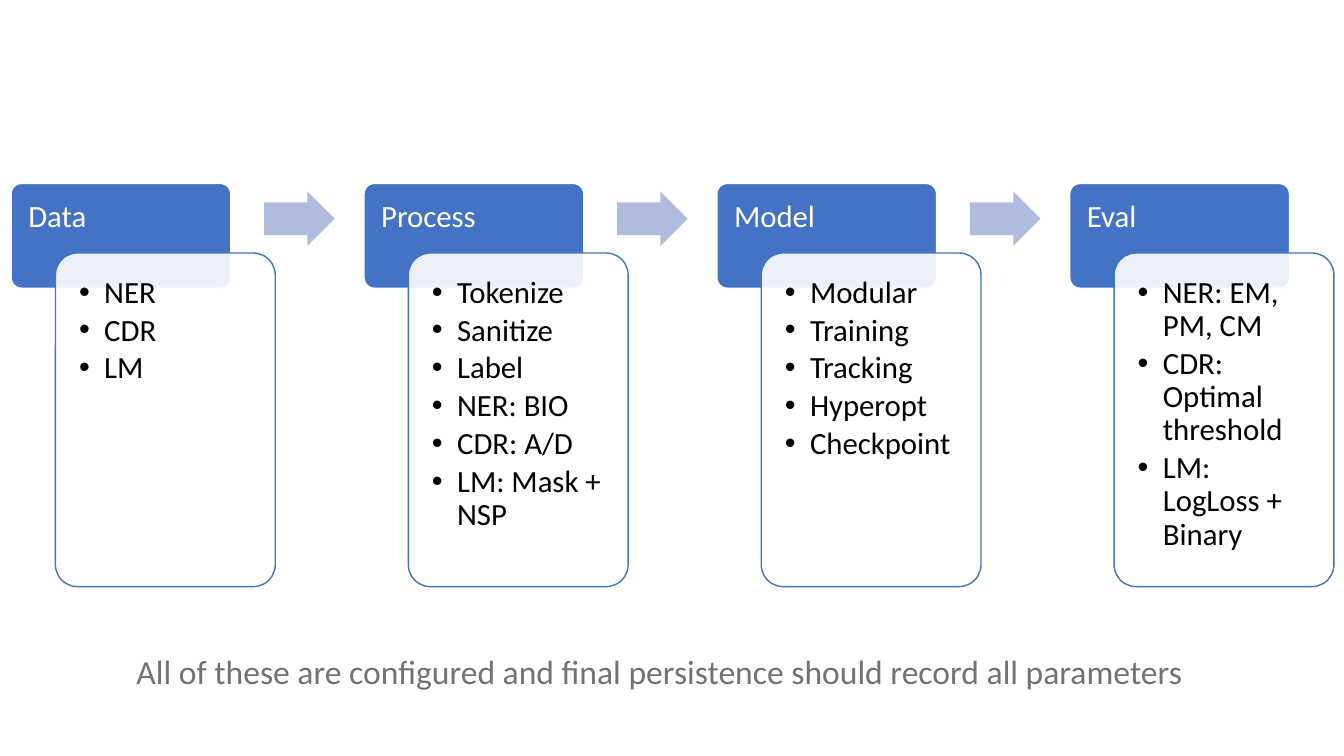
import pptx
import pptx.dml.color
import pptx.enum.shapes
import pptx.enum.text
import pptx.oxml.ns
import pptx.util
from lxml import etree

Inches = pptx.util.Inches
Pt = pptx.util.Pt
SHAPES = pptx.enum.shapes.MSO_SHAPE
qn = pptx.oxml.ns.qn

BLUE, PALE_BLUE, GREY = "4472C4", "B0BCDE", "767171"
WHITE, BLACK = "FFFFFF", "000000"
FONT = "Calibri"

STAGES = [
    ("Data", ["NER", "CDR", "LM"]),
    ("Process", ["Tokenize", "Sanitize", "Label", "NER: BIO", "CDR: A/D",
                 "LM: Mask + NSP"]),
    ("Model", ["Modular", "Training", "Tracking", "Hyperopt", "Checkpoint"]),
    ("Eval", ["NER: EM, PM, CM", "CDR: Optimal threshold",
              "LM: LogLoss + Binary"]),
]
CAPTION = ("All of these are configured and final persistence "
           "should record all parameters")

# Column layout in inches
FIRST_LEFT, STAGE_PITCH = 0.11, 3.5
HEADER_TOP, STAGE_WIDTH = 1.82, 2.18
PANEL_SHIFT, PANEL_TOP = 0.44, 2.51
ARROW_SHIFT, ARROW_TOP = 2.51, 1.9


def color(hex_string):
    return pptx.dml.color.RGBColor.from_string(hex_string)


def add_block(slide, preset, box, adjustments, fill, line=None):
    block = slide.shapes.add_shape(preset, *map(Inches, box))
    for index, value in enumerate(adjustments):
        block.adjustments[index] = value
    block.shadow.inherit = False
    block.fill.solid()
    block.fill.fore_color.rgb = color(fill)
    if line:
        block.line.color.rgb = color(line)
        block.line.width = Pt(1)
    else:
        block.line.fill.background()
    return block


def set_opacity(block, percent):
    srgb = block.fill._xPr.find(".//" + qn("a:srgbClr"))
    etree.SubElement(srgb, qn("a:alpha"), val=str(percent * 1000))


def write(block, text, size, ink, inset,
          align=pptx.enum.text.PP_ALIGN.LEFT, line_spacing=1.0):
    frame = block.text_frame
    frame.word_wrap = True
    frame.vertical_anchor = pptx.enum.text.MSO_ANCHOR.TOP
    frame.margin_left = frame.margin_right = Inches(inset)
    frame.margin_top = frame.margin_bottom = Inches(min(inset, 0.17))
    frame.text = text
    for paragraph in frame.paragraphs:
        paragraph.alignment = align
        paragraph.line_spacing = line_spacing
        for run in paragraph.runs:
            run.font.name = FONT
            run.font.size = Pt(size)
            run.font.color.rgb = color(ink)


def add_bullets(block):
    for paragraph in block.text_frame.paragraphs:
        paragraph.space_after = Pt(3.3)
        properties = paragraph._p.get_or_add_pPr()
        properties.set("marL", str(Inches(0.25)))
        properties.set("indent", str(-Inches(0.25)))
        etree.SubElement(properties, qn("a:buFont"), typeface="Arial")
        etree.SubElement(properties, qn("a:buChar"), char="\u2022")


def add_stage(slide, left, title, steps):
    header = add_block(slide, SHAPES.ROUNDED_RECTANGLE,
                       (left, HEADER_TOP, STAGE_WIDTH, 1.04), [0.1], BLUE, WHITE)
    write(header, title, 22, WHITE, 0.14, line_spacing=0.9)

    panel = add_block(slide, SHAPES.ROUNDED_RECTANGLE,
                      (left + PANEL_SHIFT, PANEL_TOP, STAGE_WIDTH, 3.31),
                      [0.1], WHITE, BLUE)
    set_opacity(panel, 90)
    write(panel, "\n".join(steps), 22, BLACK, 0.17, line_spacing=0.9)
    add_bullets(panel)


def add_caption(slide):
    caption = slide.shapes.add_textbox(*map(Inches, (0.27, 6.41, 12.54, 0.5)))
    write(caption, CAPTION, 24, GREY, 0.05, pptx.enum.text.PP_ALIGN.CENTER)


def main():
    deck = pptx.Presentation()
    deck.slide_width, deck.slide_height = Inches(13.33), Inches(7.5)
    slide = deck.slides.add_slide(deck.slide_layouts[6])

    # Pipeline stages, with an arrow after each but the last
    for index, (title, steps) in enumerate(STAGES):
        left = FIRST_LEFT + index * STAGE_PITCH
        add_stage(slide, left, title, steps)
        if index < len(STAGES) - 1:
            add_block(slide, SHAPES.RIGHT_ARROW,
                      (left + ARROW_SHIFT, ARROW_TOP, 0.7, 0.54),
                      [0.6, 0.5], PALE_BLUE)

    # Closing remark
    add_caption(slide)
    deck.save("out.pptx")


main()
